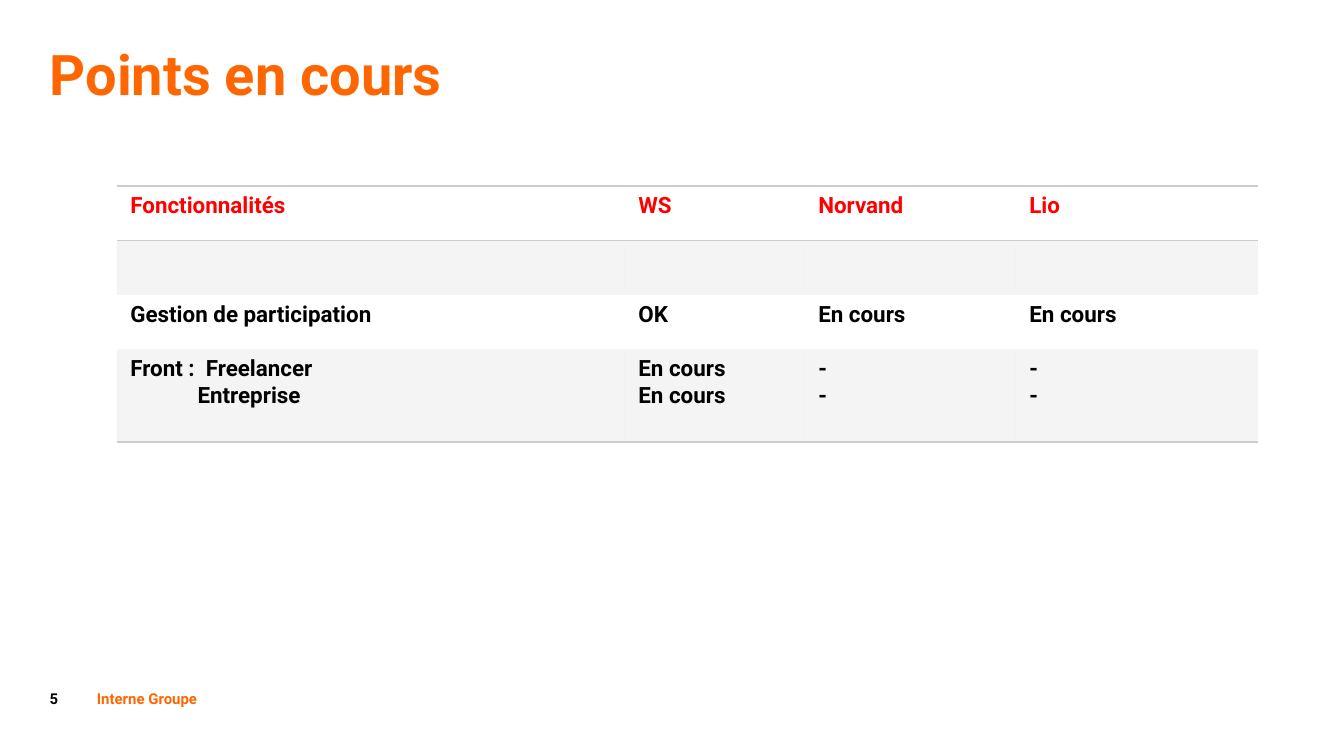
from lxml import etree
from pptx import Presentation, util as u
from pptx.dml.color import RGBColor
from pptx.enum import text
from pptx.oxml.ns import qn

ORANGE, RED, BLACK, GREY = "FF6600", "FF0000", "000000", "CCCCCC"
PLAIN_TABLE = "{2D5ABB26-0587-4C30-8999-92F81FD0307C}"


def color(value):
    """Turn a hex string into a colour."""
    return RGBColor.from_string(value)


def set_values(target, values):
    """Set attributes from a dict."""
    for name, value in values.items():
        setattr(target, name, value)


class SlideBuilder:
    """Holds the style and the current slide."""

    font = {"name": "Roboto", "bold": True}
    frame = {"word_wrap": True, "margin_left": 0, "margin_right": 0,
             "margin_top": 0, "margin_bottom": 0}

    def __init__(self, presentation):
        """Add a blank slide."""
        self.slide = presentation.slides.add_slide(presentation.slide_layouts[6])

    def add_words(self, paragraph, words, size, hex_color):
        """Add one styled run."""
        run = paragraph.add_run()
        run.text = words
        set_values(run.font, {**self.font, "size": u.Pt(size)})
        run.font.color.rgb = color(hex_color)

    def text_box(self, words, box, size, hex_color, anchor=text.MSO_ANCHOR.TOP):
        """Add a single-paragraph text box."""
        shape = self.slide.shapes.add_textbox(*map(u.Cm, box))
        set_values(shape.text_frame, {**self.frame, "vertical_anchor": anchor})
        paragraph = shape.text_frame.paragraphs[0]
        paragraph.line_spacing = 0.85
        self.add_words(paragraph, words, size, hex_color)

    def border(self, cell, side):
        """Draw a thin grey line on one side of a cell."""
        line = etree.SubElement(cell._tc.get_or_add_tcPr(), qn("a:ln" + side),
                                w=str(u.Pt(1)))
        fill = etree.SubElement(line, qn("a:solidFill"))
        etree.SubElement(fill, qn("a:srgbClr"), val=GREY)

    def shade(self, cell):
        """Fill a cell with translucent grey."""
        cell.fill.solid()
        cell.fill.fore_color.rgb = color(GREY)
        tint = cell._tc.tcPr.find(qn("a:solidFill") + "/" + qn("a:srgbClr"))
        etree.SubElement(tint, qn("a:alpha"), val="20000")

    def table(self, rows, left, top, widths, heights):
        """Add a table with alternate shaded rows and ruled header and foot."""
        shape = self.slide.shapes.add_table(
            len(rows), len(widths), u.Cm(left), u.Cm(top),
            u.Cm(sum(widths)), u.Cm(sum(heights)))
        table = shape.table
        set_values(table, {"first_row": False, "horz_banding": False})
        table._tbl.tblPr.find(qn("a:tableStyleId")).text = PLAIN_TABLE
        for column, width in zip(table.columns, widths):
            column.width = u.Cm(width)
        for row, height in zip(table.rows, heights):
            row.height = u.Cm(height)
        sides = {0: "TB", len(rows) - 1: "B"}
        for r, row in enumerate(rows):
            for c, lines in enumerate(row):
                cell = table.cell(r, c)
                for side in sides.get(r, ""):
                    self.border(cell, side)
                if r % 2:
                    self.shade(cell)
                else:
                    cell.fill.background()
                for i, words in enumerate(lines):
                    frame = cell.text_frame
                    paragraph = frame.add_paragraph() if i else frame.paragraphs[0]
                    self.add_words(paragraph, words, 12, BLACK if r else RED)
        return table


presentation = Presentation()
set_values(presentation, {"slide_width": u.Cm(25.4), "slide_height": u.Cm(14.28)})
builder = SlideBuilder(presentation)

bottom = text.MSO_ANCHOR.BOTTOM
builder.text_box("5", (0.94, 12.42, 0.76, 0.94), 8, BLACK, bottom)
builder.text_box("Interne Groupe", (1.83, 12.42, 22.63, 0.94), 8, ORANGE, bottom)
builder.text_box("Points en cours", (0.94, 0.94, 23.52, 11.48), 30, ORANGE)

rows = [
    [["Fonctionnalités"], ["WS"], ["Norvand"], ["Lio"]],
    [[]] * 4,
    [["Gestion de participation"], ["OK"], ["En cours"], ["En cours"]],
    [["Front :  Freelancer", "Entreprise"], ["En cours"] * 2, ["-"] * 2, ["-"] * 2],
]
status = builder.table(rows, 2.21, 3.51, [9.6, 3.4, 3.99, 4.57], [1.03] * 3 + [1.75])
company = status.cell(3, 0).text_frame.paragraphs[1]
company._p.get_or_add_pPr().set("marL", str(u.Cm(1.27)))

presentation.save("out.pptx")
